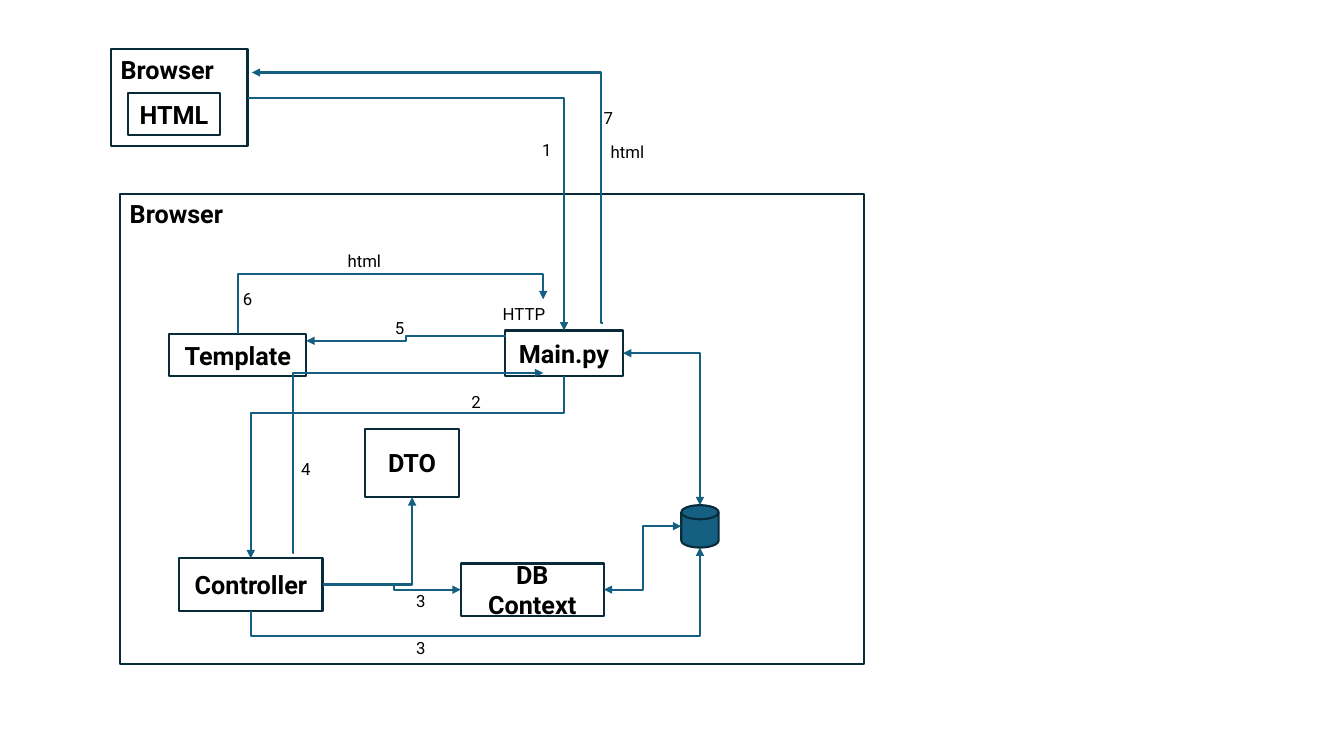
from lxml.etree import SubElement
from pptx import Presentation
from pptx.dml.color import RGBColor
from pptx.enum.shapes import MSO_CONNECTOR, MSO_SHAPE as SHAPE
from pptx.enum.text import MSO_ANCHOR as ANCHOR, PP_ALIGN as ALIGN
from pptx.oxml.ns import qn
from pptx.util import Cm, Pt

OUTLINE = RGBColor(0x09, 0x2A, 0x39)
TEAL = RGBColor(0x15, 0x60, 0x82)
WHITE = RGBColor(0xFF, 0xFF, 0xFF)
BLACK = RGBColor(0x00, 0x00, 0x00)
FONT = "Roboto"
TOP, LEFT, BOTTOM, RIGHT = range(4)

prs = Presentation()
prs.slide_width, prs.slide_height = Cm(33.87), Cm(19.05)
slide = prs.slides.add_slide(prs.slide_layouts[6])
shapes = slide.shapes


def add_node(text, left, top, width, height, kind=SHAPE.RECTANGLE, fill=WHITE,
             align=ALIGN.CENTER, anchor=ANCHOR.MIDDLE):
    node = shapes.add_shape(kind, Cm(left), Cm(top), Cm(width), Cm(height))
    node.shadow.inherit = False
    node.fill.solid()
    node.fill.fore_color.rgb = fill
    node.line.color.rgb = OUTLINE
    node.line.width = Pt(1.5)
    node.text_frame.vertical_anchor = anchor
    label = node.text_frame.paragraphs[0]
    label.text = text
    label.alignment = align
    label.font.name, label.font.size, label.font.bold = FONT, Pt(18), True
    label.font.color.rgb = BLACK
    return node


def add_arrow(start, end, turn=None, vertical=False, both=False):
    """Elbow from start to end; turn is where the first leg stops, None for one corner."""
    (x1, y1), (x2, y2) = start, end
    dx, dy = x2 - x1, y2 - y1
    if vertical:  # lay the box out sideways about its centre, then rotate it
        mid_x, mid_y = (x1 + x2) / 2, (y1 + y2) / 2
        x1, y1 = mid_x - dy / 2, mid_y + dx / 2
        x2, y2 = mid_x + dy / 2, mid_y - dx / 2
    arrow = shapes.add_connector(MSO_CONNECTOR.ELBOW, Cm(x1), Cm(y1), Cm(x2), Cm(y2))
    arrow.line.color.rgb = TEAL
    arrow.line.width = Pt(1.5)
    properties = arrow._element.spPr
    if vertical:
        properties.find(qn("a:xfrm")).set("rot", "5400000")
    geometry = properties.find(qn("a:prstGeom"))
    if turn is None:
        geometry.set("prst", "bentConnector2")
    else:
        share = (turn - start[1]) / dy if vertical else (turn - start[0]) / dx
        SubElement(geometry.find(qn("a:avLst")), qn("a:gd"),
                   name="adj1", fmla=f"val {round(share * 100000)}")
    line = properties.find(qn("a:ln"))
    for tip in ("a:headEnd", "a:tailEnd") if both else ("a:tailEnd",):
        SubElement(line, qn(tip), type="triangle")
    SubElement(properties, qn("a:effectLst"))
    return arrow


# Containers
add_node("Browser", 3.02, 4.88, 18.75, 11.86, align=ALIGN.LEFT, anchor=ANCHOR.TOP)
browser = add_node("Browser", 2.79, 1.24, 3.45, 2.44, align=ALIGN.LEFT, anchor=ANCHOR.TOP)

# Components
add_node("HTML", 3.23, 2.34, 2.31, 1.07)
main = add_node("Main.py", 12.73, 8.33, 2.97, 1.14)
controller = add_node("Controller", 4.52, 14.07, 3.61, 1.32)
db_context = add_node("DB Context", 11.61, 14.2, 3.61, 1.32)
dto = add_node("DTO", 9.19, 10.8, 2.39, 1.73)
add_node("Template", 4.27, 8.41, 3.45, 1.07)
add_node("", 17.17, 12.73, 0.94, 1.07, kind=SHAPE.FLOWCHART_MAGNETIC_DISK, fill=TEAL)

# Arrows joined to components
main_database = add_arrow((15.7, 8.9), (17.64, 12.73), both=True)
main_database.begin_connect(main, RIGHT)
context_database = add_arrow((15.22, 14.86), (17.17, 13.26), turn=16.2, both=True)
context_database.begin_connect(db_context, RIGHT)
request = add_arrow((6.24, 2.46), (14.21, 8.33))
request.begin_connect(browser, RIGHT)
request.end_connect(main, TOP)
controller_dto = add_arrow((8.13, 14.73), (10.39, 12.53))
controller_dto.begin_connect(controller, RIGHT)
controller_dto.end_connect(dto, BOTTOM)

# Free arrows
add_arrow((14.21, 9.47), (6.32, 14.07), turn=10.41, vertical=True)   # Main.py to Controller
add_arrow((8.26, 14.73), (11.61, 14.86), turn=9.93)                  # Controller to DB Context
add_arrow((6.32, 15.39), (17.64, 13.8), turn=16.03, vertical=True)   # Controller to database
add_arrow((7.42, 13.94), (13.69, 9.4), turn=7.38)                    # Controller to Main.py
add_arrow((12.75, 8.46), (7.72, 8.59), turn=10.24)                   # Main.py to Template
add_arrow((5.99, 8.41), (13.69, 7.54), turn=6.91, vertical=True)     # Template to Main.py
add_arrow((15.21, 8.13), (6.35, 1.83), turn=15.14)                   # Main.py to Browser

# Step numbers and message labels
for text, left, top, width in [
    ("HTTP", 12.42, 7.54, 2.54),
    ("html", 8.51, 6.2, 1.88),
    ("html", 15.14, 3.45, 1.88),
    ("1", 13.41, 3.4, 0.97),
    ("2", 11.63, 9.75, 0.97),
    ("3", 10.24, 14.76, 0.97),
    ("3", 10.24, 15.95, 0.97),
    ("4", 7.34, 11.43, 0.97),
    ("5", 9.7, 7.87, 0.97),
    ("6", 5.87, 7.14, 0.97),
    ("7", 14.96, 2.59, 0.97),
]:
    frame = shapes.add_textbox(Cm(left), Cm(top), Cm(width), Cm(0.76)).text_frame
    frame.word_wrap = True
    step = frame.paragraphs[0]
    step.text = text
    step.font.name, step.font.size = FONT, Pt(12)
    step.font.color.rgb = BLACK

prs.save("out.pptx")
